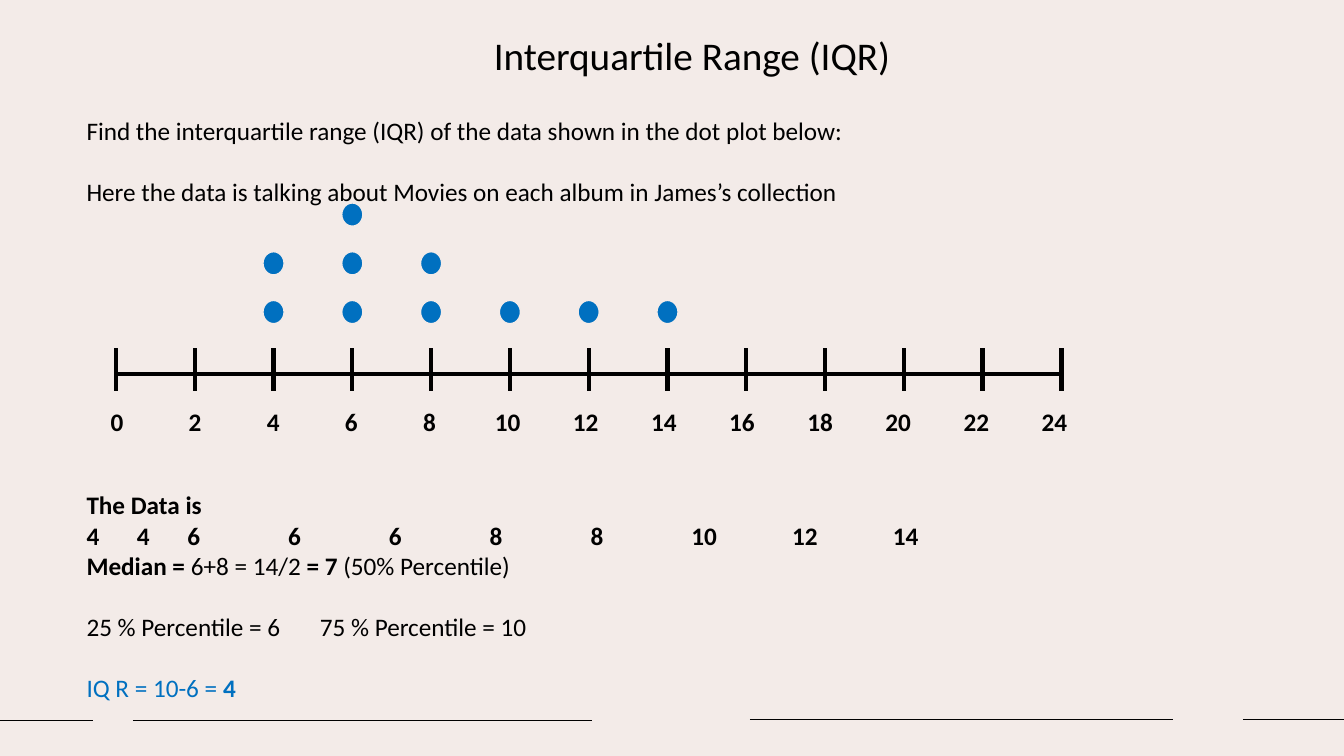
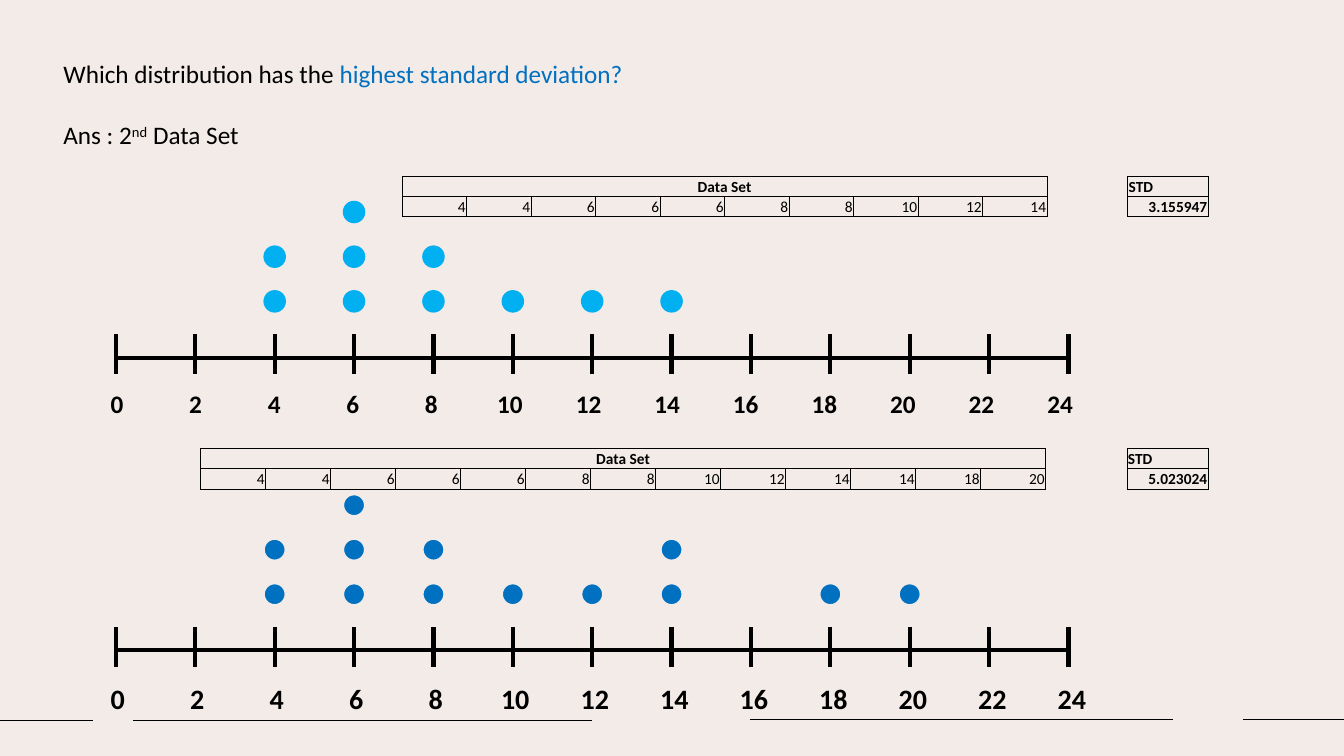
from collections import Counter
from dataclasses import dataclass

from lxml.etree import SubElement
from pptx import Presentation
from pptx.dml.color import RGBColor
from pptx.enum.shapes import MSO_CONNECTOR, MSO_SHAPE
from pptx.enum.text import MSO_ANCHOR, MSO_AUTO_SIZE, PP_ALIGN
from pptx.oxml.ns import qn
from pptx.util import Pt

# Shared look
BLACK = RGBColor(0x00, 0x00, 0x00)
BLUE = RGBColor(0x00, 0x70, 0xC0)
SKY = RGBColor(0x00, 0xB0, 0xF0)
CREAM = RGBColor(0xF3, 0xEB, 0xE8)
FONT = "Calibri"
BODY_SIZE = 18
BLANK_LINE = 22
AXIS_LEFT = 82.8
AXIS_VALUES = range(0, 25, 2)

# Data behind the dot plots and the tables
FIRST_SET = (4, 4, 6, 6, 6, 8, 8, 10, 12, 14)
SECOND_SET = (4, 4, 6, 6, 6, 8, 8, 10, 12, 14, 14, 18, 20)


@dataclass(frozen=True)
class Rule:
    left: float
    right: float
    top: float


FOOTER_RULES = (
    Rule(0, 66.2, 514.8),
    Rule(95, 422.6, 514.8),
    Rule(535.7, 838, 514.1),
    Rule(887.8, 960, 514.1),
)


@dataclass(frozen=True)
class Span:
    text: str
    bold: bool = False
    color: RGBColor = BLACK
    raised: bool = False


@dataclass(frozen=True)
class Line:
    spans: tuple[Span, ...]
    gap: float = 0
    tabs: tuple[float, ...] = ()
    centered_tabs: bool = False


@dataclass(frozen=True)
class DotPlot:
    data: tuple[int, ...]
    axis_top: float
    tick_step: float
    tick_top: float
    tick_height: float
    dot_top: float
    dot_gap: float
    dot_height: float
    dot_color: RGBColor
    dot_edge: RGBColor
    label_top: float
    label_step: float
    label_size: float = BODY_SIZE
    dot_width: float = 15.1


@dataclass(frozen=True)
class DataTable:
    data: tuple[int, ...]
    deviation: str
    left: float
    top: float
    value_width: float
    side_width: float


IQR_PLOT = DotPlot(FIRST_SET, 267.1, 56.28, 248.6, 31, 214.6, 34.8, 16.6,
                   BLUE, CREAM, 286.6, 55.8)
FIRST_PLOT = DotPlot(FIRST_SET, 255.6, 56.7, 238.6, 28.8, 207.7, 31.9, 15.1,
                     SKY, SKY, 273.6, 56.14)
SECOND_PLOT = DotPlot(SECOND_SET, 464.4, 56.7, 448.1, 28.1, 416.9, 31.8, 15.1,
                      BLUE, CREAM, 483.1, 56.8, label_size=20)
FIRST_TABLE = DataTable(FIRST_SET, "3.155947", 287.3, 126, 46.08, 57.6)
SECOND_TABLE = DataTable(SECOND_SET, "5.023024", 143.3, 320.4, 46.44, 58.1)


def style_font(font, size: float, bold: bool = False, color: RGBColor = BLACK) -> None:
    font.name, font.size, font.bold = FONT, Pt(size), bold
    font.color.rgb = color


def add_line(shapes, start: tuple[float, float], end: tuple[float, float], weight: float):
    line = shapes.add_connector(MSO_CONNECTOR.STRAIGHT, *map(Pt, start + end))
    line.line.color.rgb = BLACK
    line.line.width = Pt(weight)
    SubElement(line._element.spPr, qn("a:effectLst"))
    return line


def add_tabs(para, stops: tuple[float, ...], centered: bool) -> None:
    tab_list = SubElement(para._p.get_or_add_pPr(), qn("a:tabLst"))
    for stop in stops:
        SubElement(tab_list, qn("a:tab"), pos=str(int(Pt(stop))), algn="ctr" if centered else "l")


def add_text(shapes, left: float, top: float, width: float, height: float,
             lines: tuple[Line, ...], size: float = BODY_SIZE) -> None:
    box = shapes.add_textbox(Pt(left), Pt(top), Pt(width), Pt(height))
    frame = box.text_frame
    frame.word_wrap = True
    frame.auto_size = MSO_AUTO_SIZE.SHAPE_TO_FIT_TEXT
    for index, line in enumerate(lines):
        para = frame.add_paragraph() if index else frame.paragraphs[0]
        if line.gap:
            para.space_before = Pt(line.gap)
        if line.tabs:
            add_tabs(para, line.tabs, line.centered_tabs)
        for span in line.spans:
            run = para.add_run()
            run.text = span.text
            style_font(run.font, size, span.bold, span.color)
            if span.raised:
                run._r.get_or_add_rPr().set("baseline", "30000")


def add_dot_plot(page, plot: DotPlot) -> None:
    shapes = page.shapes.add_group_shape().shapes
    ticks = {value: AXIS_LEFT + index * plot.tick_step
             for index, value in enumerate(AXIS_VALUES)}

    # Axis and ticks
    add_line(shapes, (AXIS_LEFT, plot.axis_top), (max(ticks.values()), plot.axis_top), 3)
    for x in ticks.values():
        add_line(shapes, (x, plot.tick_top), (x, plot.tick_top + plot.tick_height), 3)

    # Stacked dots
    for value, count in Counter(plot.data).items():
        for level in range(count):
            dot = shapes.add_shape(
                MSO_SHAPE.OVAL, Pt(ticks[value] - plot.dot_width / 2),
                Pt(plot.dot_top - level * plot.dot_gap), Pt(plot.dot_width), Pt(plot.dot_height))
            dot.shadow.inherit = False
            dot.fill.solid()
            dot.fill.fore_color.rgb = plot.dot_color
            dot.line.color.rgb = plot.dot_edge
            dot.line.width = Pt(1)

    # Axis labels, centred on even tab stops
    half_digit = plot.label_size / 4
    stops = tuple(half_digit + index * plot.label_step for index in range(1, len(AXIS_VALUES)))
    labels = Span("\t".join(map(str, AXIS_VALUES)), bold=True)
    add_text(shapes, 72, plot.label_top, 720, 29, (Line((labels,), 0, stops, True),),
             plot.label_size)


def set_borders(cell, sides: str) -> None:
    properties = cell._tc.get_or_add_tcPr()
    for side in "LRTB":
        edge = SubElement(properties, qn(f"a:ln{side}"), w=str(int(Pt(0.5))))
        if side in sides:
            SubElement(SubElement(edge, qn("a:solidFill")), qn("a:srgbClr"), val=str(BLACK))
        else:
            SubElement(edge, qn("a:noFill"))


def add_data_table(page, spec: DataTable) -> None:
    count = len(spec.data)
    widths = [spec.value_width] * count + [spec.side_width] * 2
    table = page.shapes.add_table(2, count + 2, Pt(spec.left), Pt(spec.top),
                                  Pt(sum(widths)), Pt(28.8)).table
    table.first_row = table.horz_banding = False
    for column, width in zip(table.columns, widths):
        column.width = Pt(width)

    header = ["Data Set"] + [""] * count + ["STD"]
    values = [*map(str, spec.data), "", spec.deviation]
    for row_index, texts in enumerate((header, values)):
        table.rows[row_index].height = Pt(14.4)
        for column_index, text in enumerate(texts):
            cell = table.cell(row_index, column_index)
            cell.margin_left = cell.margin_right = cell.margin_top = Pt(0.7)
            cell.margin_bottom = Pt(0)
            cell.vertical_anchor = MSO_ANCHOR.BOTTOM
            set_borders(cell, "LR" if column_index == count else "LRTB")
            cell.fill.background()
            para = cell.text_frame.paragraphs[0]
            para.text = text
            if row_index:
                para.alignment = PP_ALIGN.RIGHT
            elif column_index == 0:
                para.alignment = PP_ALIGN.CENTER
            for run in para.runs:
                style_font(run.font, 11, bold=row_index == 0 or column_index > count)
            if not text:
                para._p.get_or_add_endParaRPr().set("sz", "1100")
    table.cell(0, 0).merge(table.cell(0, count - 1))


def set_title(page, text: str) -> None:
    title = page.shapes.title
    title.left, title.top, title.width, title.height = map(Pt, (195.8, 17.3, 596.9, 47.5))
    title.text_frame.text = text
    title.text_frame.vertical_anchor = MSO_ANCHOR.MIDDLE
    para = title.text_frame.paragraphs[0]
    para.alignment = PP_ALIGN.CENTER
    para.line_spacing = 0.9
    style_font(para.runs[0].font, 28)


def set_master(deck, page) -> None:
    """Put the background and the footer rules on the slide master."""
    master = deck.slide_master
    master.background.fill.solid()
    master.background.fill.fore_color.rgb = CREAM
    for index, rule in enumerate(FOOTER_RULES):
        line = add_line(page.shapes, (rule.left, rule.top), (rule.right, rule.top), 1)
        line._element.nvCxnSpPr.cNvPr.id = 100 + index
        master.shapes._spTree.append(line._element)


def build_range_slide(page) -> None:
    set_title(page, "Interquartile Range (IQR)")
    add_text(page.shapes, 54.7, 78.5, 786.2, 72.7, (
        Line((Span("Find the interquartile range (IQR) of the data shown in the dot plot below:"),)),
        Line((Span("Here the data is talking about Movies on each album in James’s collection"),),
             BLANK_LINE),
    ))
    data_tabs = (36, *range(72, 577, 72))
    add_text(page.shapes, 54.7, 346.3, 814.3, 159.8, (
        Line((Span("The Data is", bold=True),)),
        Line((Span("\t".join(map(str, FIRST_SET)), bold=True),), tabs=data_tabs),
        Line((Span("Median = ", bold=True), Span("6+8 = 14/2 "),
              Span("= 7 ", bold=True), Span("(50% Percentile)"))),
        Line((Span("25 % Percentile = 6\t75 % Percentile = 10"),), BLANK_LINE, (166.7,)),
        Line((Span("IQ R = 10-6 =", color=BLUE), Span(" 4", bold=True, color=BLUE)), BLANK_LINE),
    ))
    add_dot_plot(page, IQR_PLOT)


def build_deviation_slide(page) -> None:
    for plot in (FIRST_PLOT, SECOND_PLOT):
        add_dot_plot(page, plot)
    add_text(page.shapes, 38.2, 38.2, 423.4, 72.7, (
        Line((Span("Which distribution has the "),
              Span("highest standard deviation?", color=BLUE))),
        Line((Span("Ans : 2"), Span("nd", raised=True), Span(" Data Set")), BLANK_LINE),
    ))
    for spec in (FIRST_TABLE, SECOND_TABLE):
        add_data_table(page, spec)


def main() -> None:
    deck = Presentation()
    deck.slide_width, deck.slide_height = Pt(960), Pt(540)
    title_only, blank = deck.slide_layouts[5], deck.slide_layouts[6]
    range_page = deck.slides.add_slide(title_only)
    set_master(deck, range_page)
    build_range_slide(range_page)
    build_deviation_slide(deck.slides.add_slide(blank))
    deck.save("out.pptx")


if __name__ == "__main__":
    main()
